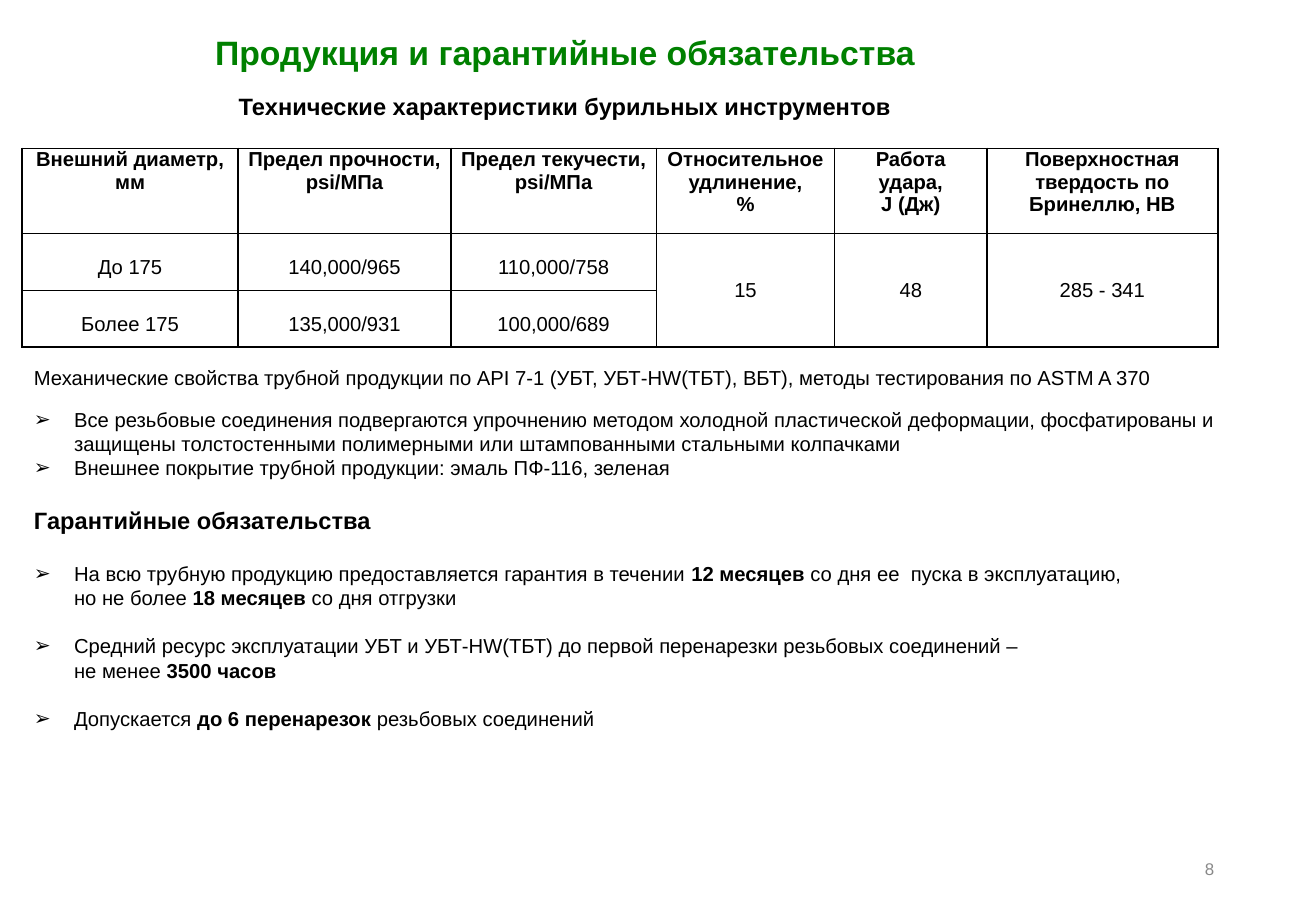
from lxml.etree import SubElement
from pptx import Presentation
from pptx.dml.color import RGBColor
from pptx.enum.text import MSO_ANCHOR, MSO_AUTO_SIZE, PP_ALIGN
from pptx.oxml.ns import qn
from pptx.util import Cm, Pt

COLORS = {"title": "008000", "text": "000000", "number": "898989"}
FONT = "Arial"

HEADERS = [
    ["Внешний диаметр, мм"],
    ["Предел прочности, psi/МПа"],
    ["Предел текучести, psi/МПа"],
    ["Относительное удлинение,", "%"],
    ["Работа удара,", "J (Дж)"],
    ["Поверхностная твердость по Бринеллю, HB"],
]
ROWS = [
    ["До 175", "140,000/965", "110,000/758"],
    ["Более 175", "135,000/931", "100,000/689"],
]
SHARED_VALUES = ["15", "48", "285 - 341"]
COLUMN_WIDTHS = [4.52, 4.45, 4.29, 3.73, 3.18, 4.83]
ROW_HEIGHTS = [1.78, 1.19, 1.19]

PROPERTIES = [
    "Все резьбовые соединения подвергаются упрочнению методом холодной пластической деформации, "
    "фосфатированы и защищены толстостенными полимерными или штампованными стальными колпачками",
    "Внешнее покрытие трубной продукции: эмаль ПФ-116, зеленая",
]
WARRANTIES = [
    [[("На всю трубную продукцию предоставляется гарантия в течении ", False),
      ("12 месяцев ", True), ("со дня ее  пуска в эксплуатацию,", False)],
     [("но не более ", False), ("18 месяцев ", True), ("со дня отгрузки", False)]],
    [[("Средний ресурс эксплуатации УБТ и УБТ-HW(ТБТ) до первой перенарезки резьбовых соединений –", False)],
     [("не менее ", False), ("3500 часов", True)]],
    [[("Допускается ", False), ("до 6 перенарезок ", True), ("резьбовых соединений", False)]],
]


def add_text(paragraph, text, size=12, bold=False, color="text"):
    run = paragraph.add_run()
    run.text = text
    run.font.name = FONT
    run.font.size = Pt(size)
    run.font.bold = bold
    run.font.color.rgb = RGBColor.from_string(COLORS[color])


def place(shape, box):
    shape.left, shape.top, shape.width, shape.height = [Cm(length) for length in box]


def add_text_frame(slide, box):
    frame = slide.shapes.add_textbox(*[Cm(length) for length in box]).text_frame
    frame.word_wrap = True
    return frame


def add_bullet(frame, space_before=0):
    paragraph = frame.add_paragraph()
    paragraph.space_before = Pt(space_before)
    properties = paragraph._p.get_or_add_pPr()
    properties.set("marL", str(Cm(0.84)))
    properties.set("indent", str(-Cm(0.84)))
    SubElement(properties, qn("a:buFont"), typeface=FONT)
    SubElement(properties, qn("a:buChar"), char="➢")
    paragraph.font.size = Pt(12)
    return paragraph


def add_title(slide, box):
    title = slide.shapes.title
    place(title, box)
    frame = title.text_frame
    frame.auto_size = MSO_AUTO_SIZE.NONE
    frame.vertical_anchor = MSO_ANCHOR.TOP
    frame.paragraphs[0].alignment = PP_ALIGN.CENTER
    add_text(frame.paragraphs[0], "Продукция и гарантийные обязательства", 20, True, "title")


def add_subtitle(slide, box):
    paragraph = add_text_frame(slide, box).paragraphs[0]
    paragraph.alignment = PP_ALIGN.CENTER
    add_text(paragraph, "Технические характеристики бурильных инструментов", 14, True)


def add_borders(cell):
    properties = cell._tc.get_or_add_tcPr()
    for position, side in enumerate(("a:lnL", "a:lnR", "a:lnT", "a:lnB")):
        line = properties.makeelement(qn(side), {"w": str(Pt(1))})
        properties.insert(position, line)
        fill = SubElement(line, qn("a:solidFill"))
        SubElement(fill, qn("a:srgbClr"), val=COLORS["text"])


def fill_cell(cell, lines, bold=False, top=0, anchor=MSO_ANCHOR.TOP):
    cell.margin_left = cell.margin_right = Cm(0.2)
    cell.margin_top, cell.margin_bottom = Cm(top), 0
    cell.vertical_anchor = anchor
    frame = cell.text_frame
    for index, line in enumerate(lines):
        paragraph = frame.add_paragraph() if index else frame.paragraphs[0]
        paragraph.alignment = PP_ALIGN.CENTER
        add_text(paragraph, line, bold=bold)


def add_characteristics(slide, box):
    table = slide.shapes.add_table(
        len(ROW_HEIGHTS), len(COLUMN_WIDTHS), *[Cm(length) for length in box]).table
    table.first_row = table.horz_banding = False
    for column, width in zip(table.columns, COLUMN_WIDTHS):
        column.width = Cm(width)
    for row, height in zip(table.rows, ROW_HEIGHTS):
        row.height = Cm(height)
    for cell in table.iter_cells():
        cell.fill.background()
        add_borders(cell)
    for column, lines in enumerate(HEADERS):
        fill_cell(table.cell(0, column), lines, bold=True)
    for row, values in enumerate(ROWS, 1):
        for column, value in enumerate(values):
            fill_cell(table.cell(row, column), [value], top=0.48)
    for column, value in enumerate(SHARED_VALUES, len(ROWS[0])):
        table.cell(1, column).merge(table.cell(2, column))
        fill_cell(table.cell(1, column), [value], anchor=MSO_ANCHOR.MIDDLE)


def add_properties(slide, box):
    frame = add_text_frame(slide, box)
    add_text(frame.paragraphs[0], "Механические свойства трубной продукции по API 7-1 "
             "(УБТ, УБТ-HW(ТБТ), ВБТ), методы тестирования по ASTM A 370")
    for index, text in enumerate(PROPERTIES):
        add_text(add_bullet(frame, 0 if index else 10.5), text)


def add_warranties(slide, box):
    frame = add_text_frame(slide, box)
    add_text(frame.paragraphs[0], "Гарантийные обязательства", 14, True)
    for index, lines in enumerate(WARRANTIES):
        paragraph = add_bullet(frame, 14 if index else 16)
        for line_index, line in enumerate(lines):
            if line_index:
                paragraph.add_line_break()
            for text, bold in line:
                add_text(paragraph, text, bold=bold)


def add_slide_number(slide, box):
    frame = add_text_frame(slide, box)
    frame.vertical_anchor = MSO_ANCHOR.MIDDLE
    frame.paragraphs[0].alignment = PP_ALIGN.RIGHT
    add_text(frame.paragraphs[0], "8", 10, color="number")


def main():
    presentation = Presentation()
    presentation.slide_width, presentation.slide_height = Cm(27.51), Cm(19.05)
    slide = presentation.slides.add_slide(presentation.slide_layouts[5])
    add_title(slide, (0.46, 0.53, 22.71, 1.09))
    add_subtitle(slide, (0.1, 1.8, 23.42, 0.84))
    add_characteristics(slide, (0.46, 3.1, sum(COLUMN_WIDTHS), sum(ROW_HEIGHTS)))
    add_properties(slide, (0.46, 7.51, 26.52, 2.6))
    add_warranties(slide, (0.46, 10.46, 26.82, 5.13))
    add_slide_number(slide, (19.43, 17.65, 6.2, 1.02))
    presentation.save("out.pptx")


if __name__ == "__main__":
    main()
